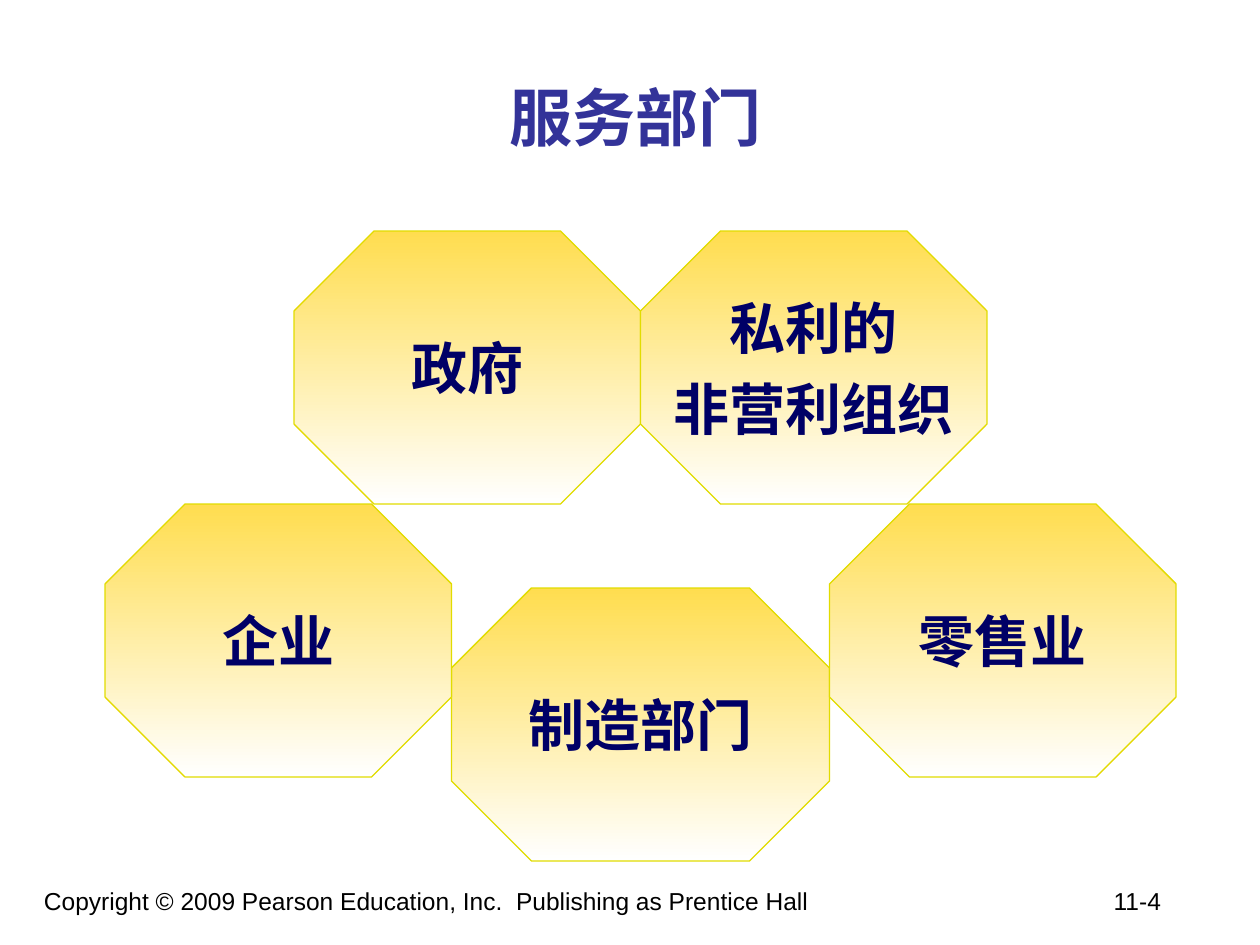
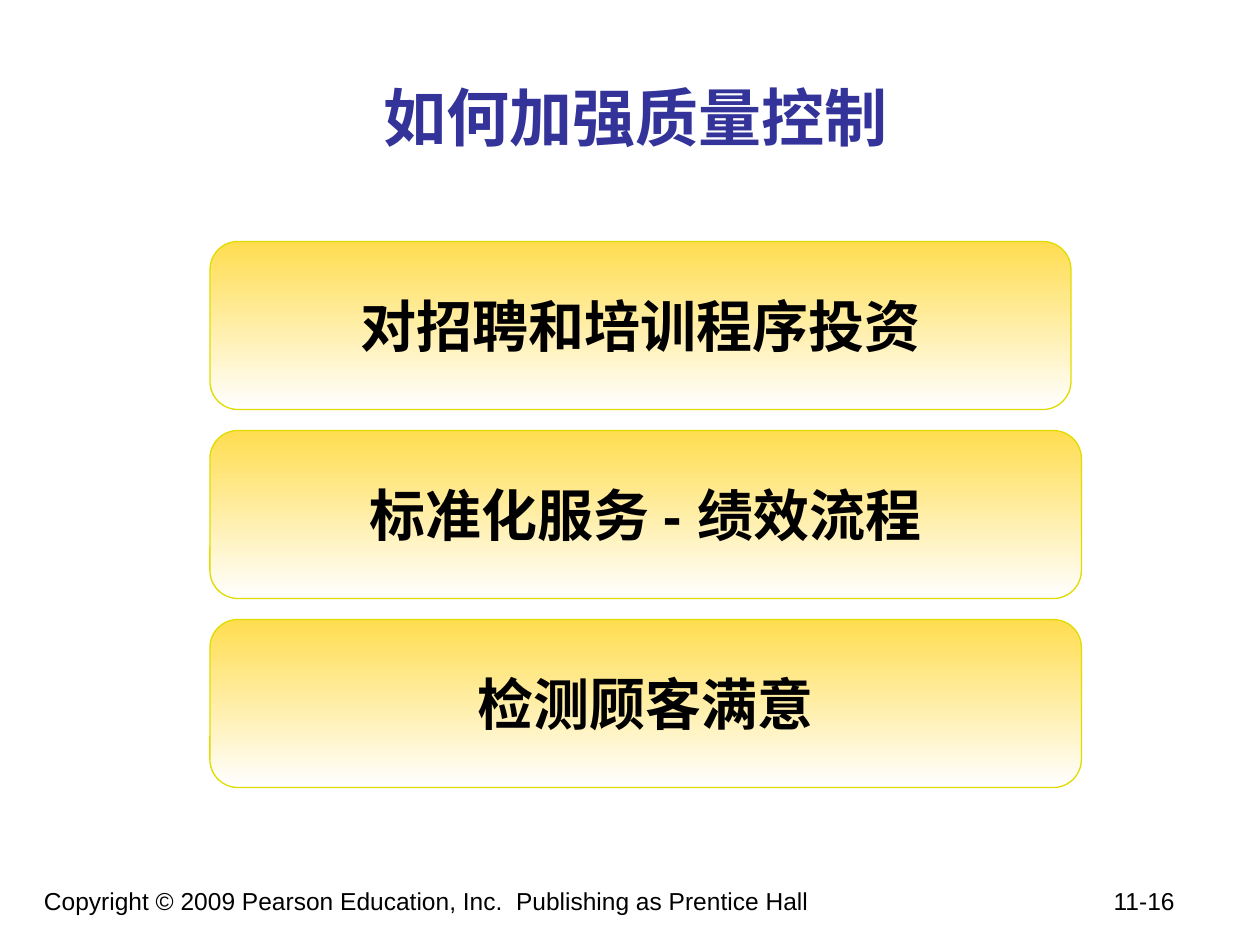
from pptx import Presentation
from pptx.dml.color import RGBColor
from pptx.enum.shapes import MSO_SHAPE
from pptx.enum.text import MSO_ANCHOR, PP_ALIGN
from pptx.oxml.ns import qn
from pptx.util import Inches, Pt
from lxml.etree import SubElement

COLORS = {
    "title": "333399",
    "sector": "000066",
    "body": "000000",
    "gradient_top": "FFDD4F",
    "gradient_bottom": "FFFFFF",
    "outline": "E1DC00",
}
LATIN, CHINESE = "Arial", "Noto Sans CJK SC"
COLUMNS, ROWS = 120, 90
COPYRIGHT = "Copyright © 2009 Pearson Education, Inc.  Publishing as Prentice Hall"


def rgb(name):
    return RGBColor.from_string(COLORS[name])


class Deck:
    """Shared style, the slide grid and the slide being filled."""

    def __init__(self):
        self.presentation = Presentation()
        self.presentation.slide_width = Inches(10)
        self.presentation.slide_height = Inches(7.5)
        self.slide = None

    def place(self, column, row, columns, rows):
        """Turn grid units into left, top, width and height."""
        across = self.presentation.slide_width / COLUMNS
        down = self.presentation.slide_height / ROWS
        return (round(column * across), round(row * down),
                round(columns * across), round(rows * down))

    def style(self, paragraph, size, color, font=LATIN, bold=True):
        for run in paragraph.runs:
            run.font.size, run.font.bold, run.font.name = Pt(size), bold, font
            run.font.color.rgb = rgb(color)
            SubElement(run.font._element, qn("a:ea")).set("typeface", CHINESE)

    def text_box(self, area):
        frame = self.slide.shapes.add_textbox(*self.place(*area)).text_frame
        frame.word_wrap = True
        return frame

    def new_slide(self, title, number):
        self.slide = self.presentation.slides.add_slide(
            self.presentation.slide_layouts[6])
        self.footer(number)
        self.title(title)

    def title(self, text):
        frame = self.text_box((10, 3.6, 101, 15))
        frame.vertical_anchor = MSO_ANCHOR.MIDDLE
        frame.text = text
        heading = frame.paragraphs[0]
        heading.alignment = PP_ALIGN.CENTER
        self.style(heading, 36, "title", CHINESE)

    def footer(self, number):
        frame = self.text_box((3, 83.75, 112, 6.25))
        frame.text = f"{COPYRIGHT}\t{number}"
        line = frame.paragraphs[0]
        tabs = SubElement(line._p.get_or_add_pPr(), qn("a:tabLst"))
        number_tab = SubElement(tabs, qn("a:tab"))
        number_tab.set("pos", str(Inches(8.49)))
        number_tab.set("algn", "l")
        self.style(line, 14, "body", bold=False)

    def panel(self, kind, area, text, color):
        """Draw a gradient shape with centred bold text."""
        panel = self.slide.shapes.add_shape(kind, *self.place(*area))
        panel.shadow.inherit = False
        panel.fill.gradient()
        panel.fill.gradient_angle = 270
        ends = zip(panel.fill.gradient_stops, (0, 1),
                   ("gradient_top", "gradient_bottom"))
        for stop, position, shade in ends:
            stop.position, stop.color.rgb = position, rgb(shade)
        panel.line.color.rgb = rgb("outline")
        panel.line.width = Pt(0.75)
        frame = panel.text_frame
        frame.word_wrap = False
        frame.vertical_anchor = MSO_ANCHOR.MIDDLE
        frame.text = text
        for index, paragraph in enumerate(frame.paragraphs):
            paragraph.alignment = PP_ALIGN.CENTER
            if index:
                paragraph.space_before = Pt(8)
            self.style(paragraph, 32, color)


def service_sectors(deck):
    deck.new_slide("服务部门", "11-4")
    width, middle_width, height = 33, 36, 26
    upper_left, lower_left, top = 28, 10, 22
    middle_left = lower_left + width
    sectors = [
        ("政府", upper_left, top, width),
        ("私利的\n非营利组织", upper_left + width, top, width),
        ("制造部门", middle_left, top + height + 8, middle_width),
        ("企业", lower_left, top + height, width),
        ("零售业", middle_left + middle_width, top + height, width),
    ]
    for name, left, row, columns in sectors:
        deck.panel(MSO_SHAPE.OCTAGON, (left, row, columns, height), name, "sector")


def quality_control(deck):
    deck.new_slide("如何加强质量控制", "11-16")
    steps = [("对招聘和培训程序投资", 82), ("标准化服务 - 绩效流程", 83),
             ("检测顾客满意", 83)]
    for index, (step, columns) in enumerate(steps):
        deck.panel(MSO_SHAPE.ROUNDED_RECTANGLE,
                   (20, 23 + 18 * index, columns, 16), step, "body")


def main():
    deck = Deck()
    service_sectors(deck)
    quality_control(deck)
    deck.presentation.save("out.pptx")


if __name__ == "__main__":
    main()
